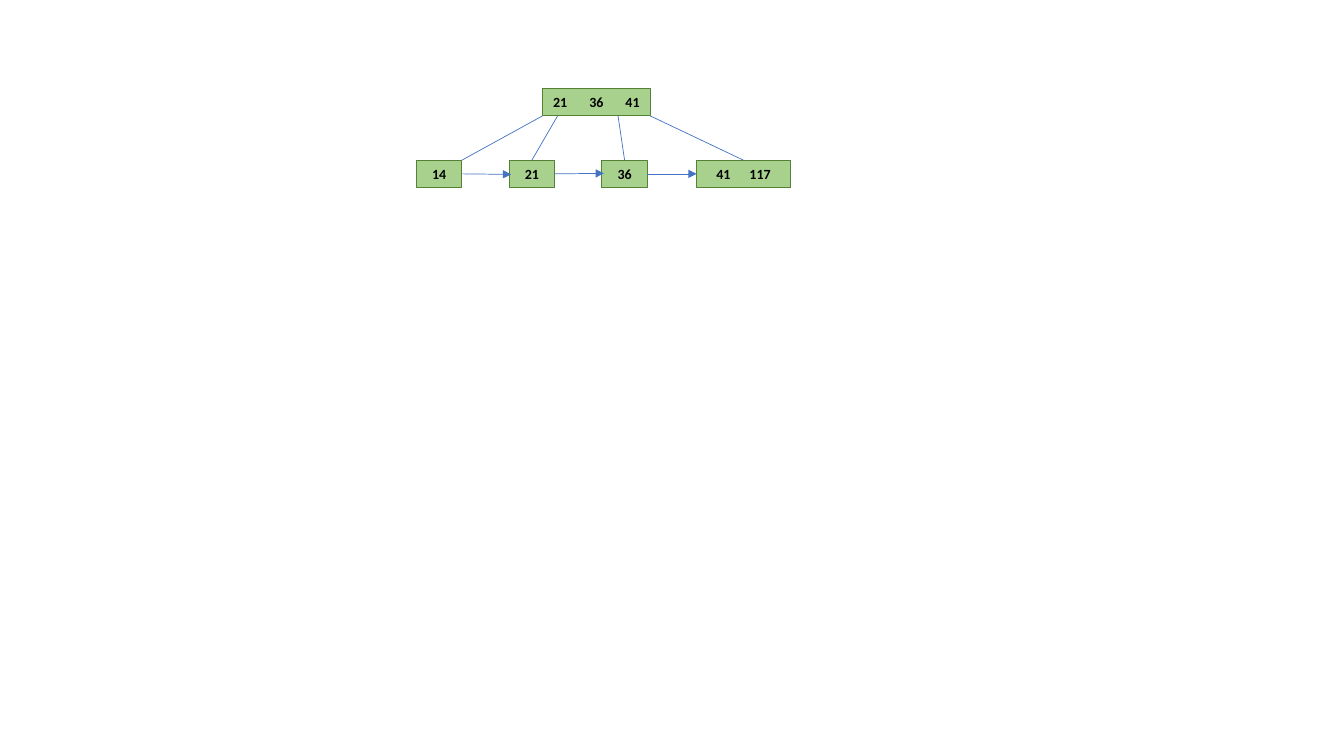
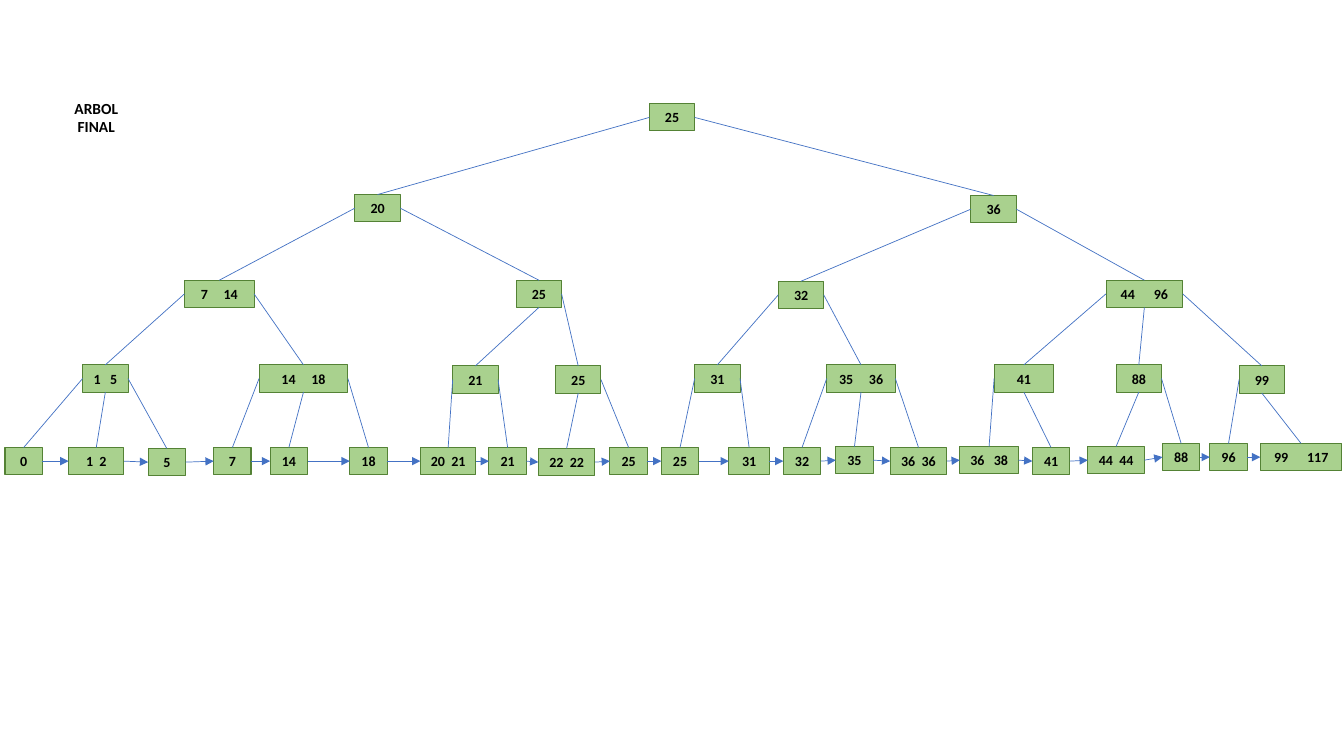
from collections import namedtuple
from itertools import pairwise

from lxml import etree
from pptx import Presentation
from pptx import util as u
from pptx.dml import color
from pptx.enum import shapes, text
from pptx.oxml import ns

TOP, LEFT, BOTTOM, RIGHT = range(4)
NODE_HEIGHT = 0.27
NARROW, MEDIUM, WIDE = 2.3, 4.5, 9

Site = namedtuple("Site", "shape index")
Node = namedtuple("Node", "keys left top width sites gap", defaults=[(), 0])


def rgb(value):
    return color.RGBColor.from_string(value)


class TreeDeck:
    """Holds the tree style and the slide being drawn."""

    font = "Calibri"
    ink = "000000"
    node_fill = "A9D18E"
    node_line = "548235"
    link_line = "4472C4"

    def __init__(self):
        self.presentation = Presentation()
        self.presentation.slide_width = u.Inches(13.33)
        self.presentation.slide_height = u.Inches(7.5)
        self.slide = None

    def new_slide(self):
        layout = self.presentation.slide_layouts[6]
        self.slide = self.presentation.slides.add_slide(layout)

    def add_words(self, shape, words, size, gap=0):
        frame = shape.text_frame
        frame.word_wrap = True
        frame.auto_size = text.MSO_AUTO_SIZE.SHAPE_TO_FIT_TEXT
        paragraph = frame.paragraphs[0]
        paragraph.alignment = text.PP_ALIGN.CENTER
        for index, word in enumerate(words):
            if index:
                self.add_run(paragraph, " ", size, gap)
            self.add_run(paragraph, word, size)

    def add_run(self, paragraph, content, size, spacing=0):
        run = paragraph.add_run()
        run.text = content
        run.font.name = self.font
        run.font.size = u.Pt(size)
        run.font.bold = True
        run.font.color.rgb = rgb(self.ink)
        if spacing:
            run.font._element.set("spc", str(round(spacing * 100)))

    def node(self, node):
        shape = self.slide.shapes.add_shape(
            shapes.MSO_SHAPE.RECTANGLE, u.Inches(node.left), u.Inches(node.top),
            u.Inches(node.width), u.Inches(NODE_HEIGHT))
        shape.shadow.inherit = False
        shape.fill.solid()
        shape.fill.fore_color.rgb = rgb(self.node_fill)
        shape.line.color.rgb = rgb(self.node_line)
        shape.line.width = u.Pt(0.75)
        frame = shape.text_frame
        frame.margin_left = frame.margin_right = 0
        frame.vertical_anchor = text.MSO_ANCHOR.MIDDLE
        self.add_words(shape, node.keys.split(), 10, node.gap)
        return shape

    def link(self, start, end, arrow=False):
        points = [(0, 0) if isinstance(stop, Site) else stop for stop in (start, end)]
        lengths = [u.Inches(value) for point in points for value in point]
        connector = self.slide.shapes.add_connector(
            shapes.MSO_CONNECTOR.STRAIGHT, *lengths)
        if isinstance(start, Site):
            connector.begin_connect(*start)
        if isinstance(end, Site):
            connector.end_connect(*end)
        connector.line.color.rgb = rgb(self.link_line)
        connector.line.width = u.Pt(0.5)
        if arrow:
            line = connector.line._get_or_add_ln()
            etree.SubElement(line, ns.qn("a:tailEnd"), type="triangle")
        etree.SubElement(connector._element.spPr, ns.qn("a:effectLst"))

    def label(self, words, left, top, width, height):
        shape = self.slide.shapes.add_textbox(*map(u.Inches, (left, top, width, height)))
        self.add_words(shape, words.split(), 11)

    def tree(self, levels):
        drawn = [[self.node(node) for node in level] for level in levels]
        for level, parents, children in zip(levels, drawn, drawn[1:]):
            remaining = iter(children)
            for node, parent in zip(level, parents):
                for site in node.sites:
                    self.link(Site(parent, site), Site(next(remaining), TOP))
        for leaf, following in pairwise(drawn[-1]):
            self.link(Site(leaf, RIGHT), Site(following, LEFT), arrow=True)


SIDES = (LEFT, RIGHT)
THREE = (LEFT, BOTTOM, RIGHT)

FINAL_TREE = [
    [Node("25", 6.44, 1.03, 0.45, SIDES)],
    [
        Node("20", 3.52, 1.93, 0.45, SIDES),
        Node("36", 9.63, 1.94, 0.45, SIDES),
    ],
    [
        Node("7 14", 1.83, 2.78, 0.69, SIDES, WIDE),
        Node("25", 5.12, 2.78, 0.45, (BOTTOM, RIGHT)),
        Node("32", 7.72, 2.79, 0.45, SIDES),
        Node("44 96", 10.97, 2.78, 0.76, THREE, 11.3),
    ],
    [
        Node("1 5", 0.82, 3.62, 0.45, THREE, MEDIUM),
        Node("14 18", 2.57, 3.62, 0.88, THREE, WIDE),
        Node("21", 4.49, 3.63, 0.45, SIDES),
        Node("25", 5.51, 3.63, 0.45, (BOTTOM, RIGHT)),
        Node("31", 6.89, 3.62, 0.45, SIDES),
        Node("35 36", 8.2, 3.62, 0.68, THREE, WIDE),
        Node("41", 9.86, 3.62, 0.59, (LEFT, BOTTOM)),
        Node("88", 11.07, 3.62, 0.45, (BOTTOM, RIGHT)),
        Node("99", 12.29, 3.63, 0.45, (LEFT, BOTTOM)),
    ],
    [
        Node("0", 0.05, 4.44, 0.37),
        Node("1 2", 0.68, 4.44, 0.55, gap=NARROW),
        Node("5", 1.47, 4.45, 0.37),
        Node("7", 2.12, 4.44, 0.37),
        Node("14", 2.68, 4.44, 0.37),
        Node("18", 3.47, 4.44, 0.37),
        Node("20 21", 4.17, 4.44, 0.55, gap=NARROW),
        Node("21", 4.85, 4.44, 0.37),
        Node("22 22", 5.34, 4.45, 0.56, gap=NARROW),
        Node("25", 6.05, 4.44, 0.37),
        Node("25", 6.56, 4.44, 0.37),
        Node("31", 7.23, 4.44, 0.4),
        Node("32", 7.77, 4.44, 0.37),
        Node("35", 8.29, 4.43, 0.37),
        Node("36 36", 8.83, 4.44, 0.56, gap=NARROW),
        Node("36 38", 9.52, 4.43, 0.58, gap=MEDIUM),
        Node("41", 10.24, 4.44, 0.37),
        Node("44 44", 10.79, 4.43, 0.56, gap=NARROW),
        Node("88", 11.53, 4.4, 0.37),
        Node("96", 12, 4.4, 0.37),
        Node("99 117", 12.5, 4.4, 0.81, gap=11.3),
    ],
]


def draw_first_tree(deck):
    deck.new_slide()
    deck.node(Node("21 36 41", 5.38, 0.88, 1.07, gap=13.5))
    leaf_14 = deck.node(Node("14", 4.13, 1.59, 0.45))
    leaf_21 = deck.node(Node("21", 5.05, 1.59, 0.45))
    leaf_36 = deck.node(Node("36", 5.97, 1.59, 0.45))
    leaf_41 = deck.node(Node("41 117", 6.91, 1.59, 0.93, gap=11.3))
    deck.link((5.38, 1.15), (4.58, 1.59))
    for left, leaf in ((5.53, leaf_21), (6.13, leaf_36), (6.45, leaf_41)):
        deck.link((left, 1.15), Site(leaf, TOP))
    deck.link(Site(leaf_14, RIGHT), (5.07, 1.73), arrow=True)
    deck.link(Site(leaf_21, RIGHT), (5.99, 1.72), arrow=True)
    deck.link(Site(leaf_36, RIGHT), Site(leaf_41, LEFT), arrow=True)


def draw_final_tree(deck):
    deck.new_slide()
    deck.tree(FINAL_TREE)
    deck.label("ARBOL FINAL", 0.54, 0.93, 0.83, 0.47)


def main():
    deck = TreeDeck()
    draw_first_tree(deck)
    draw_final_tree(deck)
    deck.presentation.save("out.pptx")


if __name__ == "__main__":
    main()
